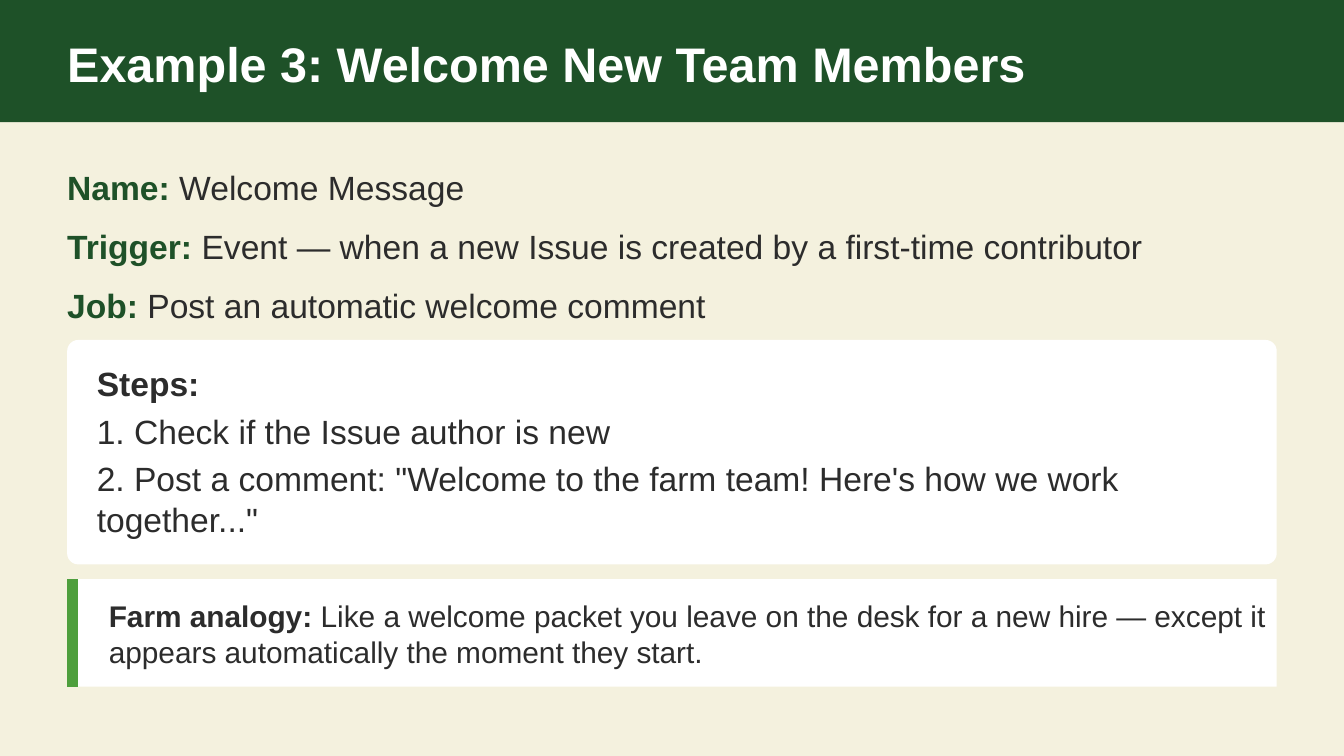
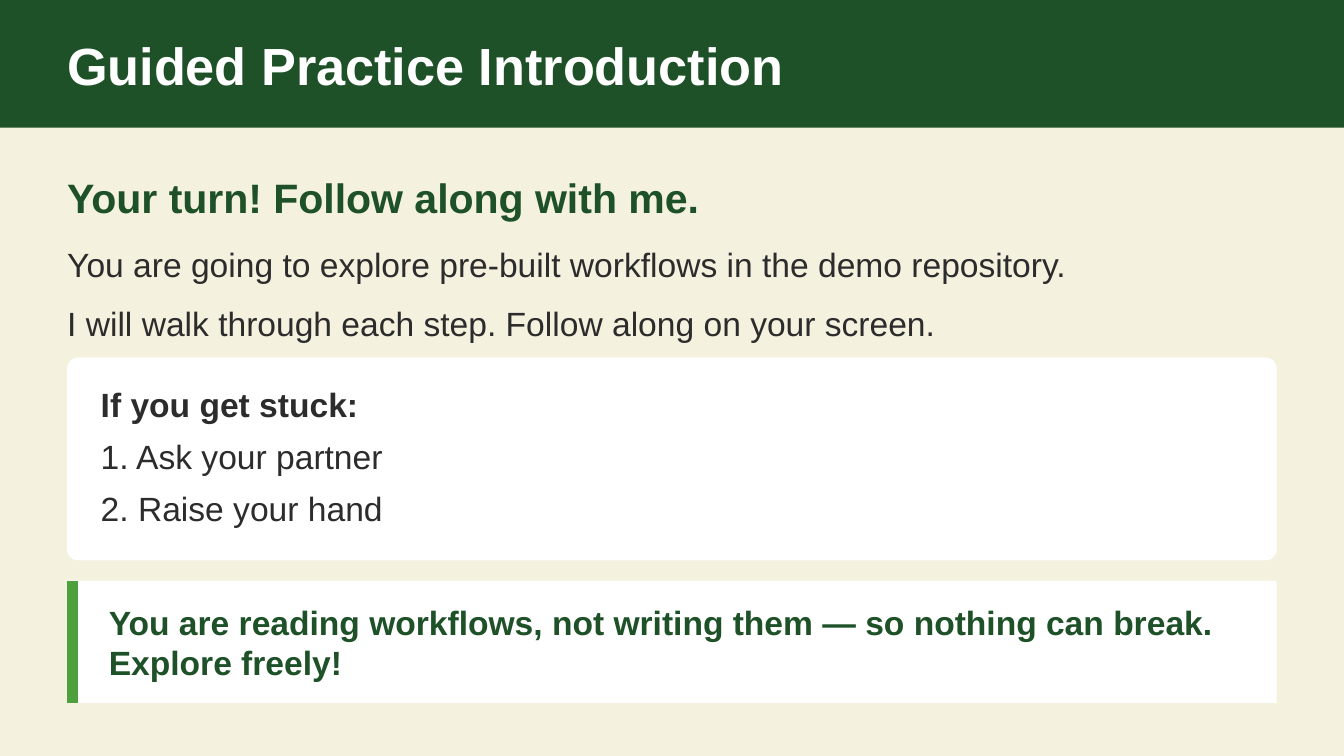
from lxml import etree
from pptx import Presentation
from pptx.dml.color import RGBColor
from pptx.enum.shapes import MSO_CONNECTOR, MSO_SHAPE
from pptx.enum.text import MSO_ANCHOR, MSO_AUTO_SIZE, PP_ALIGN
from pptx.oxml.ns import qn
from pptx.util import Inches, Pt

# Enum members
RECTANGLE = MSO_SHAPE.RECTANGLE
ROUNDED = MSO_SHAPE.ROUNDED_RECTANGLE
STRAIGHT = MSO_CONNECTOR.STRAIGHT
TOP = MSO_ANCHOR.TOP
LEFT = PP_ALIGN.LEFT
NO_AUTOFIT = MSO_AUTO_SIZE.NONE

# Colours and font
CREAM = RGBColor(0xF4, 0xF1, 0xDE)
FOREST = RGBColor(0x1E, 0x51, 0x28)
LEAF = RGBColor(0x4E, 0x9F, 0x3D)
INK = RGBColor(0x2C, 0x2C, 0x2C)
WHITE = RGBColor(0xFF, 0xFF, 0xFF)
FONT = "Arial"

# Grid of 100 columns; rows are as tall as columns are wide
WIDTH = Inches(10)
HEIGHT = WIDTH * 9 // 16
UNIT = WIDTH // 100
MARGIN = 5
CONTENT = 90
TITLE_TOP = 2.5
RADIUS = 0.83
ACCENT_WIDTH = 6
SLACK = 1.02  # text areas are a little wider than their columns


def grid(*units):
    return [round(unit * UNIT) for unit in units]


def plain(text):
    return [(text, INK, False)]


def strong(text, colour=INK):
    return [(text, colour, True)]


def labelled(label, text, colour=FOREST):
    return strong(label, colour) + plain(" " + text)


class Lesson:
    """Holds the deck style and the current page."""

    def __init__(self):
        self.deck = Presentation()
        self.deck.slide_width, self.deck.slide_height = WIDTH, HEIGHT
        self.page = None

    def add_page(self, title, size, band_height):
        self.page = self.deck.slides.add_slide(self.deck.slide_layouts[1])
        fill = self.page.background.fill
        fill.solid()
        fill.fore_color.rgb = CREAM
        # The band goes behind the title placeholder
        band = self.panel(RECTANGLE, 0, 0, 100, band_height, FOREST)
        self.page.shapes._spTree.insert(2, band._element)
        self.fill_box(self.page.shapes.title, (MARGIN, TITLE_TOP, CONTENT * SLACK,
                      band_height - 2 * TITLE_TOP), [(strong(title, WHITE), size, 0)])

    def panel(self, kind, left, top, width, height, colour=WHITE):
        shape = self.page.shapes.add_shape(kind, *grid(left, top, width, height))
        shape.shadow.inherit = False
        shape.fill.solid()
        shape.fill.fore_color.rgb = colour
        shape.line.fill.background()
        return shape

    def fill_box(self, box, area, lines):
        """Fill a box with lines of (spans, size, space after)."""
        box.left, box.top, box.width, box.height = grid(*area)
        frame = box.text_frame
        frame.word_wrap = True
        frame.auto_size = NO_AUTOFIT
        frame.vertical_anchor = TOP
        frame.margin_left = frame.margin_right = 0
        frame.margin_top = frame.margin_bottom = 0
        for index, (spans, size, after) in enumerate(lines):
            para = frame.add_paragraph() if index else frame.paragraphs[0]
            para.alignment = LEFT
            para.space_before, para.space_after = Pt(0), Pt(after)
            settings = para._p.get_or_add_pPr()
            settings.set("marL", "0")
            settings.set("indent", "0")
            etree.SubElement(settings, qn("a:buNone"))
            for text, colour, bold in spans:
                span = para.add_run()
                span.text = text
                span.font.name = FONT
                span.font.size = Pt(size)
                span.font.bold = bold
                span.font.color.rgb = colour

    def intro(self, top, height, lines):
        body = self.page.placeholders[1]
        self.fill_box(body, (MARGIN, top, CONTENT * SLACK, height), lines)

    def text(self, area, lines):
        self.fill_box(self.page.shapes.add_textbox(*grid(*area)), area, lines)

    def card(self, top, height, pad_x, pad_y, after, heading, steps):
        card = self.panel(ROUNDED, MARGIN, top, CONTENT, height)
        card.adjustments[0] = RADIUS / height
        lines = [(strong(heading), 18, after)]
        lines += [(plain(f"{number}. {step}"), 18, after)
                  for number, step in enumerate(steps, 1)]
        self.text((MARGIN + pad_x, top + pad_y, (CONTENT - 2 * pad_x) * SLACK,
                   height - 2 * pad_y), lines)

    def callout(self, top, height, pad_y, spans, size):
        self.panel(RECTANGLE, MARGIN, top, CONTENT, height)
        # Accent line along the left edge
        x = MARGIN + 0.4
        accent = self.page.shapes.add_connector(
            STRAIGHT, *grid(x, top, x, top + height))
        accent.line.color.rgb = LEAF
        accent.line.width = Pt(ACCENT_WIDTH)
        etree.SubElement(accent._element.spPr, qn("a:effectLst"))
        self.text((MARGIN + 3.1, top + pad_y, (CONTENT - 5.3) * SLACK,
                   height - 2 * pad_y), [(spans, size, 0)])


def main():
    lesson = Lesson()

    # Welcome workflow
    lesson.add_page("Example 3: Welcome New Team Members", 26, 9.1)
    facts = [
        ("Name:", "Welcome Message"),
        ("Trigger:", "Event — when a new Issue is created by a first-time contributor"),
        ("Job:", "Post an automatic welcome comment"),
    ]
    lesson.intro(12.4, 11.5, [(labelled(*fact), 18, 10) for fact in facts])
    lesson.card(25.3, 16.7, 2.2, 1.7, 4, "Steps:", [
        "Check if the Issue author is new",
        "Post a comment: \"Welcome to the farm team! Here's how we work together...\"",
    ])
    lesson.callout(43.1, 8, 1.4, labelled(
        "Farm analogy:",
        "Like a welcome packet you leave on the desk for a new hire"
        " — except it appears automatically the moment they start.", INK), 16)

    # Guided practice
    lesson.add_page("Guided Practice Introduction", 28, 9.5)
    lesson.intro(12.8, 12.4, [
        (strong("Your turn! Follow along with me.", FOREST), 22, 12),
        (plain("You are going to explore pre-built workflows in the demo repository."), 18, 10),
        (plain("I will walk through each step. Follow along on your screen."), 18, 10),
    ])
    lesson.card(26.6, 15.1, 2.5, 2, 6, "If you get stuck:",
                ["Ask your partner", "Raise your hand"])
    lesson.callout(43.2, 9.1, 1.6, strong(
        "You are reading workflows, not writing them"
        " — so nothing can break. Explore freely!", FOREST), 18)

    lesson.deck.save("out.pptx")


if __name__ == "__main__":
    main()
